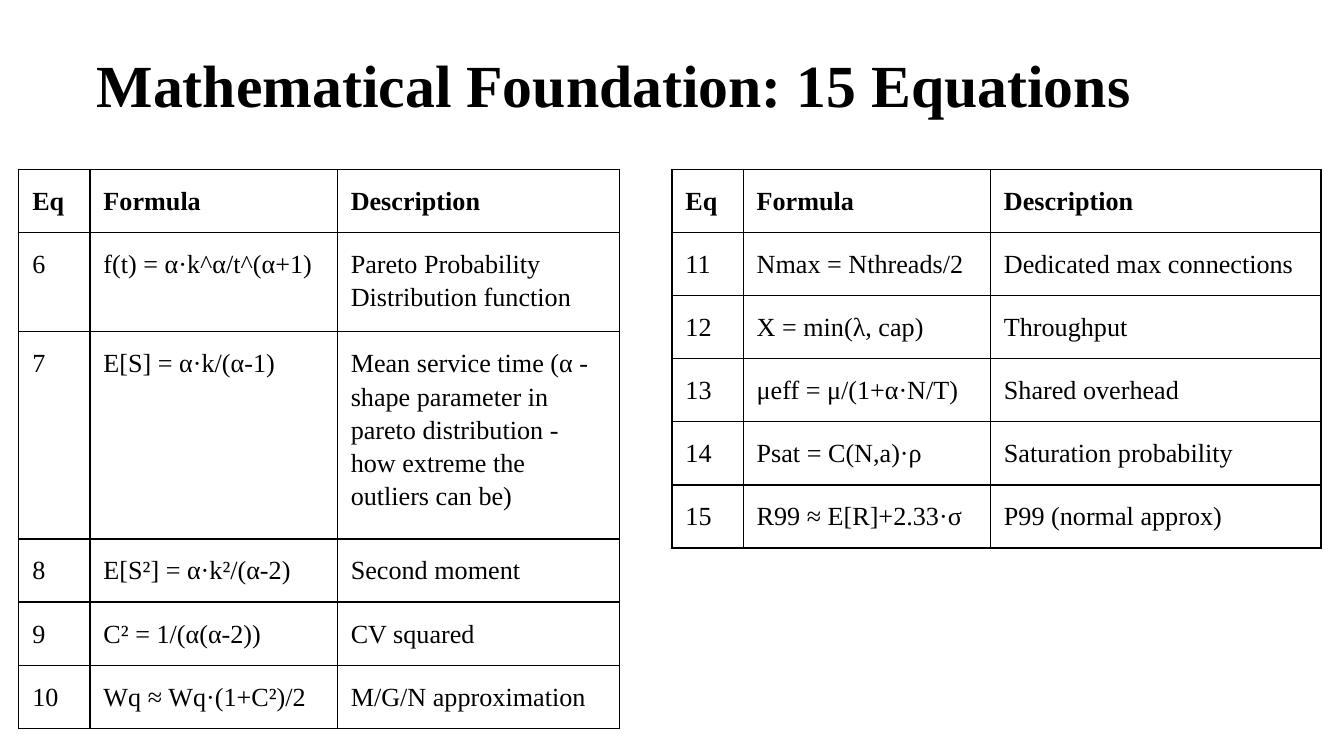
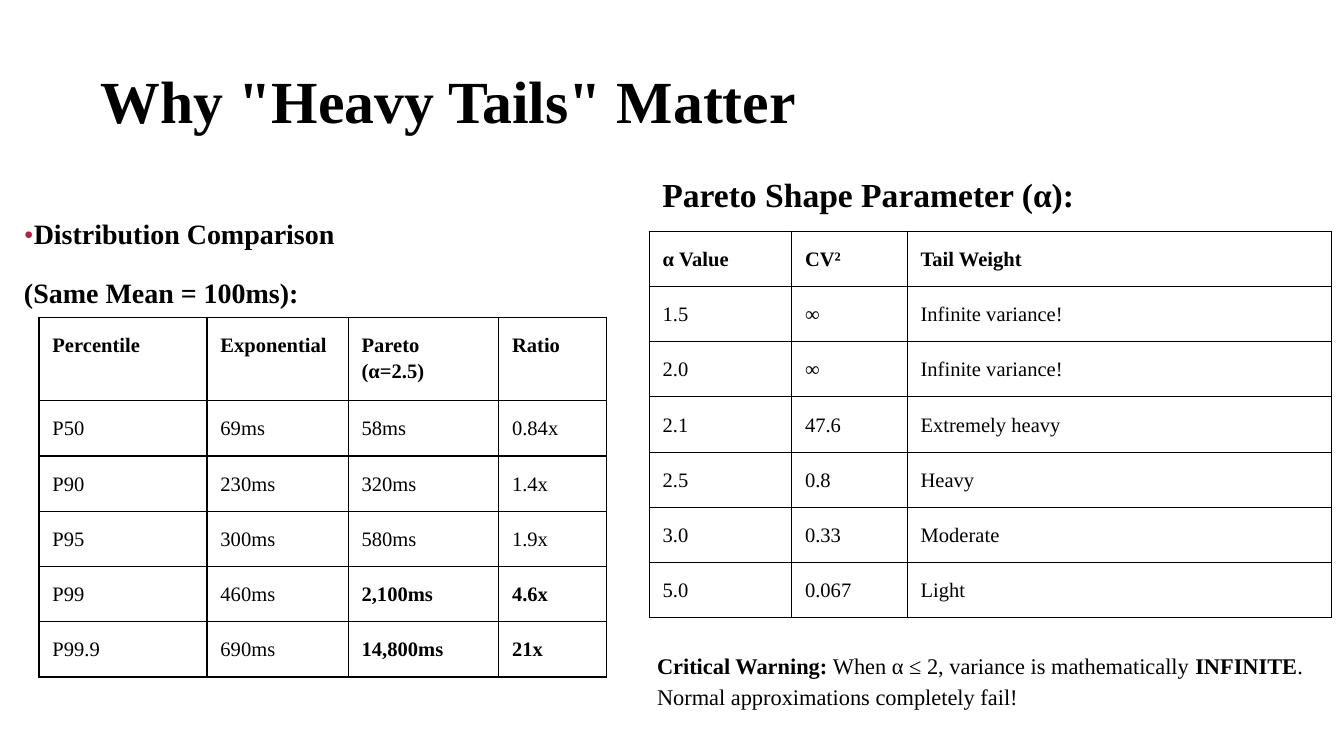
from lxml import etree
from pptx import Presentation
from pptx.dml.color import RGBColor
from pptx.enum.text import MSO_ANCHOR
from pptx.oxml.ns import qn
from pptx.util import Inches, Pt

TOP = MSO_ANCHOR.TOP
BOTTOM = MSO_ANCHOR.BOTTOM
WIDTH = 10
HEIGHT = WIDTH * 9 / 16
FONT = "Times New Roman"
BLACK = "000000"
RED = "B71E42"
PAD = 0.1
LEAD = 1.15
ROW = 0.47
SMALL = 0.41
SIDES = ("margin_left", "margin_top", "margin_right", "margin_bottom")

EQ_HEAD = ["Eq", "Formula", "Description"]
QUEUE = [
    EQ_HEAD,
    ["6", "f(t) = α·k^α/t^(α+1)", "Pareto Probability Distribution function"],
    ["7", "E[S] = α·k/(α-1)",
     "Mean service time (α - shape parameter in pareto distribution - "
     "how extreme the outliers can be)"],
    ["8", "E[S²] = α·k²/(α-2)", "Second moment"],
    ["9", "C² = 1/(α(α-2))", "CV squared"],
    ["10", "Wq ≈ Wq·(1+C²)/2", "M/G/N approximation"],
]
THREADS = [
    EQ_HEAD,
    ["11", "Nmax = Nthreads/2", "Dedicated max connections"],
    ["12", "X = min(λ, cap)", "Throughput"],
    ["13", "μeff = μ/(1+α·N/T)", "Shared overhead"],
    ["14", "Psat = C(N,a)·ρ", "Saturation probability"],
    ["15", "R99 ≈ E[R]+2.33·σ", "P99 (normal approx)"],
]
RATIOS = [
    ["Percentile", "Exponential", "Pareto (α=2.5)", "Ratio"],
    ["P50", "69ms", "58ms", "0.84x"],
    ["P90", "230ms", "320ms", "1.4x"],
    ["P95", "300ms", "580ms", "1.9x"],
    ["P99", "460ms", "2,100ms", "4.6x"],
    ["P99.9", "690ms", "14,800ms", "21x"],
]
TAILS = [
    ["α Value", "CV²", "Tail Weight"],
    ["1.5", "∞", "Infinite variance!"],
    ["2.0", "∞", "Infinite variance!"],
    ["2.1", "47.6", "Extremely heavy"],
    ["2.5", "0.8", "Heavy"],
    ["3.0", "0.33", "Moderate"],
    ["5.0", "0.067", "Light"],
]


def paint(target, color):
    target.rgb = RGBColor.from_string(color)


def set_all(target, values):
    for name, value in values.items():
        setattr(target, name, value)


def add_run(para, text, size, bold=False, color=BLACK):
    run = para.add_run()
    run.text = text
    set_all(run.font, {"name": FONT, "size": Pt(size), "bold": bold})
    paint(run.font.color, color)


def add_text(slide, box, size, paras, pad=PAD, lead=LEAD, gap=0, anchor=TOP):
    shape = slide.shapes.add_textbox(*map(Inches, box))
    frame = shape.text_frame
    set_all(frame, {"word_wrap": True, "vertical_anchor": anchor,
                    **dict.fromkeys(SIDES, Inches(pad))})
    for i, runs in enumerate(paras):
        para = frame.add_paragraph() if i else frame.paragraphs[0]
        para.line_spacing = lead
        if i:
            para.space_before = Pt(gap)
        for text, *style in runs:
            add_run(para, text, size, *style)


def add_title(slide, left, top, text):
    add_text(slide, (left, top, 8.5, 0.54), 32, [[(text, True)]],
             pad=0, lead=1, anchor=BOTTOM)


def add_edges(cell):
    props = cell._tc.get_or_add_tcPr()
    for side in ("lnL", "lnR", "lnT", "lnB"):
        line = etree.SubElement(props, qn("a:" + side), w=str(Pt(0.75)))
        fill = etree.SubElement(line, qn("a:solidFill"))
        etree.SubElement(fill, qn("a:srgbClr"), val=BLACK)


def add_grid(slide, left, top, widths, heights, size, data, strong=()):
    box = map(Inches, (left, top, sum(widths), sum(heights)))
    table = slide.shapes.add_table(len(data), len(widths), *box).table
    set_all(table, {"first_row": False, "horz_banding": False})
    for col, width in zip(table.columns, widths):
        col.width = Inches(width)
    for r, texts in enumerate(data):
        table.rows[r].height = Inches(heights[r])
        for c, text in enumerate(texts):
            cell = table.cell(r, c)
            set_all(cell, dict.fromkeys(SIDES, Inches(PAD)))
            add_edges(cell)
            cell.fill.background()
            para = cell.text_frame.paragraphs[0]
            para.line_spacing = LEAD
            add_run(para, text, size, r == 0 or (r, c) in strong)


def build_math(slide):
    add_title(slide, 0.72, 0.35, "Mathematical Foundation: 15 Equations")
    add_grid(slide, 0.14, 1.26, [0.53, 1.84, 2.1],
             [ROW, 0.74, 1.54] + [ROW] * 3, 14, QUEUE)
    add_grid(slide, 5, 1.26, [0.53, 1.84, 2.46], [ROW] * 6, 14, THREADS)


def build_tails(slide):
    add_title(slide, 0.75, 0.47, 'Why "Heavy Tails" Matter')
    add_text(slide, (0.08, 1.46, 4.35, 0.9), 15,
             [[("•", False, RED), ("Distribution Comparison", True)],
              [("(Same Mean = 100ms):", True)]], lead=1.2, gap=10)
    add_grid(slide, 0.29, 2.36, [1.25, 1.05, 1.12, 0.8],
             [0.62] + [SMALL] * 5, 11, RATIOS,
             strong={(4, 2), (4, 3), (5, 2), (5, 3)})
    add_grid(slide, 4.83, 1.72, [1.06, 0.86, 3.16], [SMALL] * 7, 11, TAILS)
    add_text(slide, (4.79, 4.72, 5.25, 0.64), 12,
             [[("Critical Warning:", True),
               (" When α ≤ 2, variance is mathematically ",),
               ("INFINITE", True),
               (". Normal approximations completely fail!",)]])
    add_text(slide, (4.83, 1.15, 4.28, 0.5), 18,
             [[("Pareto Shape Parameter (α):", True)]])


def main():
    deck = Presentation()
    set_all(deck, {"slide_width": Inches(WIDTH),
                   "slide_height": Inches(HEIGHT)})
    for build in (build_math, build_tails):
        build(deck.slides.add_slide(deck.slide_layouts[6]))
    deck.save("out.pptx")


if __name__ == "__main__":
    main()
